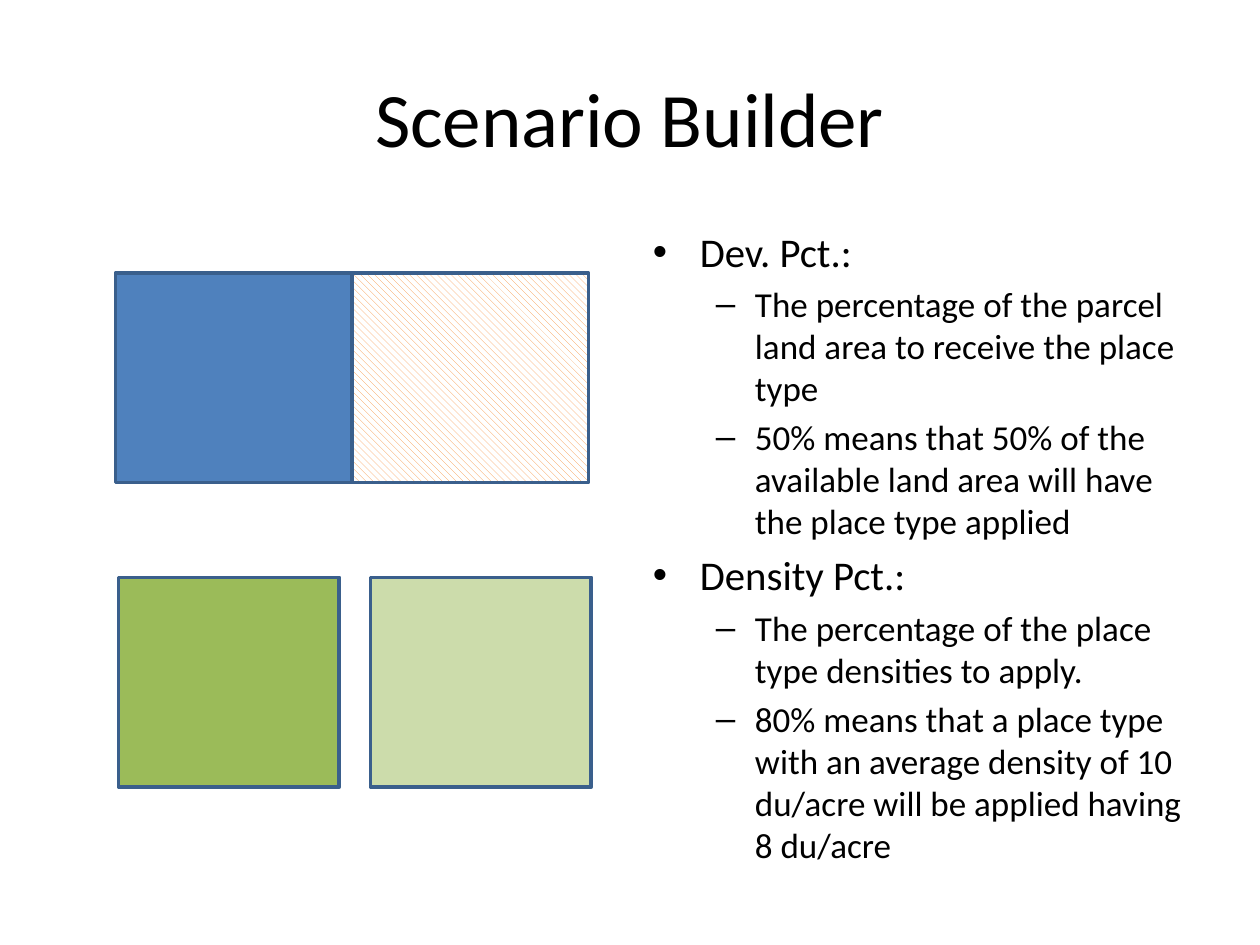
from lxml.etree import SubElement
from pptx import Presentation
from pptx.dml.color import RGBColor
from pptx.enum.dml import MSO_PATTERN
from pptx.enum.shapes import MSO_SHAPE
from pptx.enum.text import MSO_ANCHOR, PP_ALIGN
from pptx.oxml.ns import qn
from pptx.util import Cm, Pt

# Content
TITLE = "Scenario Builder"
TOPICS = [
    ("Dev. Pct.:", [
        "The percentage of the parcel land area to receive the place type",
        "50% means that 50% of the available land area will have the place type applied",
    ]),
    ("Density Pct.:", [
        "The percentage of the place type densities to apply.",
        "80% means that a place type with an average density of 10 du/acre "
        "will be applied having 8 du/acre",
    ]),
]

THEME = {
    "font": "Calibri",
    "text": RGBColor(0x00, 0x00, 0x00),
    "outline": RGBColor(0x3A, 0x5F, 0x8C),
    "parcel": RGBColor(0x4F, 0x81, 0xBD),
    "hatch": RGBColor(0xF7, 0x96, 0x46),
    "hatch_back": RGBColor(0xFF, 0xFF, 0xFF),
    "density": RGBColor(0x9B, 0xBB, 0x59),
    "title_size": Pt(44),
    "outline_width": Pt(2),
}

# Size, bullet, left margin and hanging indent of each text level
LEVELS = [
    {"size": 23.3, "bullet": "•", "margin": 0.95, "hanging": 0.95},
    {"size": 20, "bullet": "–", "margin": 2.06, "hanging": 0.79},
]

# Geometry in centimetres
TITLE_BOX = (1.27, 0.76, 22.86, 3.18)
BODY_BOX = (12.91, 4.45, 11.22, 13.97)
BLOCK_HEIGHT = 4.23
PARCEL = {"left": 2.33, "top": 5.5, "width": 9.53}
DENSITY = {"left": 2.39, "top": 11.64, "width": 4.45, "step": 5.08}


def style_font(paragraph, size):
    formats = {"name": THEME["font"], "size": size}
    for name, value in formats.items():
        setattr(paragraph.font, name, value)
    paragraph.font.color.rgb = THEME["text"]


def add_text_frame(slide, box, anchor):
    frame = slide.shapes.add_textbox(*map(Cm, box)).text_frame
    formats = {"word_wrap": True, "vertical_anchor": anchor}
    for name, value in formats.items():
        setattr(frame, name, value)
    return frame


def add_bullet(paragraph, level):
    properties = paragraph._p.get_or_add_pPr()
    properties.set("marL", str(Cm(level["margin"])))
    properties.set("indent", str(-Cm(level["hanging"])))
    SubElement(properties, qn("a:buFont"), typeface="Arial")
    SubElement(properties, qn("a:buChar"), char=level["bullet"])


def add_block(group, left, top, width):
    shape = group.shapes.add_shape(
        MSO_SHAPE.RECTANGLE, *map(Cm, (left, top, width, BLOCK_HEIGHT)))
    shape.shadow.inherit = False
    shape.line.color.rgb = THEME["outline"]
    shape.line.width = THEME["outline_width"]
    return shape


def fill_solid(shape, color):
    shape.fill.solid()
    shape.fill.fore_color.rgb = color


def add_title(slide):
    paragraph = add_text_frame(slide, TITLE_BOX, MSO_ANCHOR.MIDDLE).paragraphs[0]
    paragraph.text = TITLE
    paragraph.alignment = PP_ALIGN.CENTER
    style_font(paragraph, THEME["title_size"])


def add_topics(slide):
    frame = add_text_frame(slide, BODY_BOX, MSO_ANCHOR.TOP)
    lines = [(depth, text) for heading, details in TOPICS
             for depth, text in [(0, heading), *((1, detail) for detail in details)]]
    for index, (depth, text) in enumerate(lines):
        level = LEVELS[depth]
        paragraph = frame.add_paragraph() if index else frame.paragraphs[0]
        paragraph.text = text
        paragraph.level = depth
        paragraph.space_before = Pt(round(level["size"] * 0.2, 1) if index else 0)
        add_bullet(paragraph, level)
        style_font(paragraph, Pt(level["size"]))


def add_parcel(slide):
    left, top, width = PARCEL["left"], PARCEL["top"], PARCEL["width"]
    group = slide.shapes.add_group_shape()
    fill_solid(add_block(group, left, top, width), THEME["parcel"])
    # The right half is hatched
    fill = add_block(group, left + width / 2, top, width / 2).fill
    fill.patterned()
    fill.pattern = MSO_PATTERN.WIDE_DOWNWARD_DIAGONAL
    fill.fore_color.rgb = THEME["hatch"]
    fill.back_color.rgb = THEME["hatch_back"]


def add_densities(slide):
    group = slide.shapes.add_group_shape()
    for index, opacity in enumerate((100, 50)):
        left = DENSITY["left"] + index * DENSITY["step"]
        shape = add_block(group, left, DENSITY["top"], DENSITY["width"])
        fill_solid(shape, THEME["density"])
        if opacity < 100:
            color = shape._element.spPr.find(qn("a:solidFill")).find(qn("a:srgbClr"))
            SubElement(color, qn("a:alpha"), val=str(opacity * 1000))


def main():
    presentation = Presentation()
    presentation.slide_width, presentation.slide_height = Cm(25.4), Cm(19.05)
    slide = presentation.slides.add_slide(presentation.slide_layouts[6])
    for add_part in (add_title, add_topics, add_parcel, add_densities):
        add_part(slide)
    presentation.save("out.pptx")


if __name__ == "__main__":
    main()
